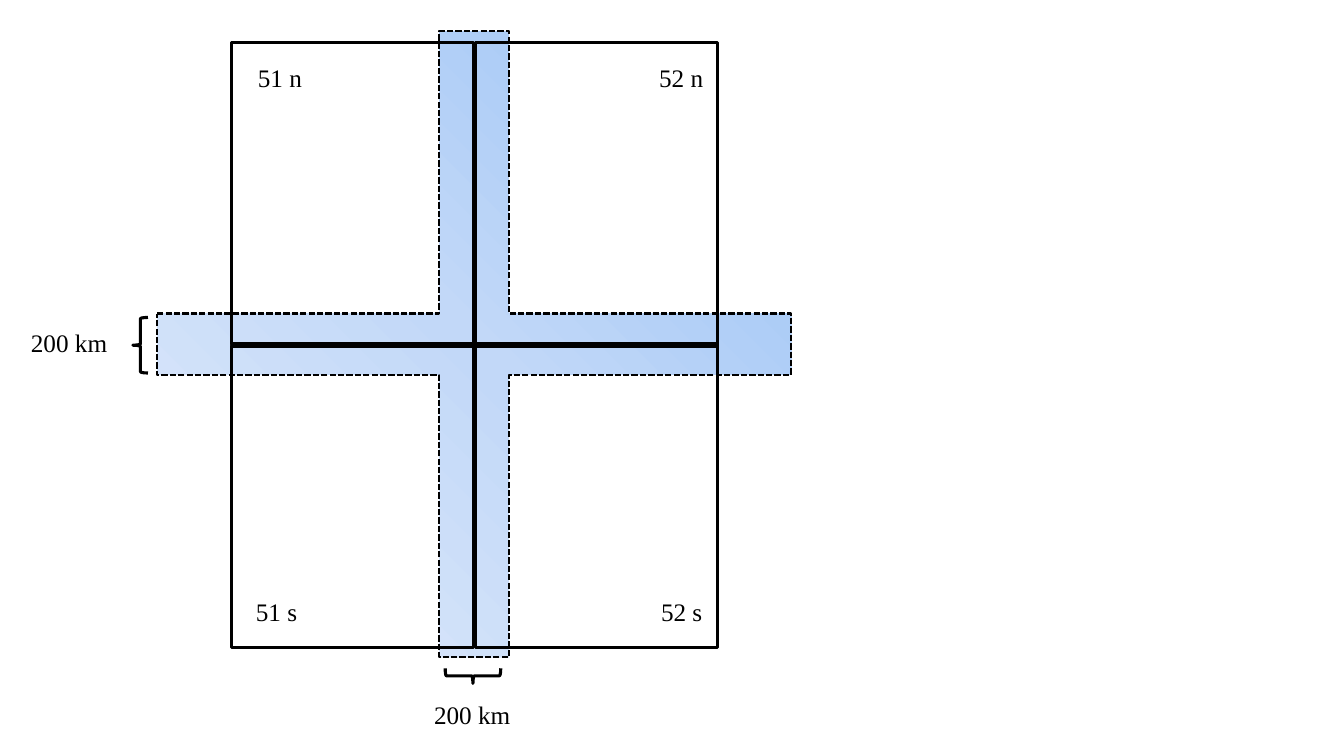
from lxml import etree
from pptx import Presentation
from pptx import util as u
from pptx.dml.color import RGBColor
from pptx.enum import dml, shapes, text
from pptx.oxml import ns

BLACK = RGBColor(0x00, 0x00, 0x00)
BAND_STOPS = [
    (0, RGBColor(0x9A, 0xC3, 0xF5)),
    (50, RGBColor(0xC2, 0xD8, 0xF8)),
    (100, RGBColor(0xE1, 0xEB, 0xFB)),
]
FONT = "Times New Roman"

# Map zones, in cm
ZONE_LEFT, ZONE_TOP = 5.84, 1.07
ZONE_WIDTH, ZONE_HEIGHT = 6.1, 7.6
ZONE_GAP = 0.05


def add_outline(parent, preset, left, top, width, height, weight=2.25):
    """Add an unfilled preset shape with a black line."""
    outline = parent.add_shape(
        preset, u.Cm(left), u.Cm(top), u.Cm(width), u.Cm(height))
    outline.shadow.inherit = False
    outline.fill.background()
    outline.line.color.rgb = BLACK
    outline.line.width = u.Pt(weight)
    return outline


def fill_from_top_right(shape, stops):
    """Fill a shape with a circular gradient centred on its top right corner."""
    gradient = etree.Element(ns.qn("a:gradFill"), rotWithShape="1")
    stop_list = etree.SubElement(gradient, ns.qn("a:gsLst"))
    for percent, color in stops:
        stop = etree.SubElement(
            stop_list, ns.qn("a:gs"), pos=str(percent * 1000))
        etree.SubElement(stop, ns.qn("a:srgbClr"), val=str(color))
    circle = etree.SubElement(gradient, ns.qn("a:path"), path="circle")
    etree.SubElement(circle, ns.qn("a:fillToRect"), l="100000", b="100000")
    properties = shape.element.spPr
    properties.replace(properties.find(ns.qn("a:noFill")), gradient)


def add_label(parent, wording, left, top, width):
    label = parent.add_textbox(
        u.Cm(left), u.Cm(top), u.Cm(width), u.Cm(1.02))
    frame = label.text_frame
    frame.word_wrap = False
    frame.auto_size = text.MSO_AUTO_SIZE.SHAPE_TO_FIT_TEXT
    paragraph = frame.paragraphs[0]
    paragraph.text = wording
    paragraph.font.name = FONT
    paragraph.font.size = u.Pt(18)
    paragraph.font.color.rgb = BLACK


def add_overlap_band(parent):
    band = add_outline(
        parent, shapes.MSO_SHAPE.CROSS, 3.96, 0.79, 15.98, 15.77, weight=1.5)
    band.adjustments[0] = 0.451
    band.line.dash_style = dml.MSO_LINE.SQUARE_DOT
    fill_from_top_right(band, BAND_STOPS)


def add_zones(parent):
    for row in range(2):
        for column in range(2):
            add_outline(
                parent, shapes.MSO_SHAPE.RECTANGLE,
                ZONE_LEFT + column * (ZONE_WIDTH + ZONE_GAP),
                ZONE_TOP + row * (ZONE_HEIGHT + ZONE_GAP),
                ZONE_WIDTH, ZONE_HEIGHT)


def add_width_mark(parent, brace_at, label_at, rotation=0):
    """Add a brace and the width of the overlap that it spans."""
    brace = add_outline(
        parent, shapes.MSO_SHAPE.LEFT_BRACE, *brace_at, 0.38, 1.4)
    brace.rotation = rotation
    add_label(parent, "200 km", *label_at, 2.46)


def main():
    presentation = Presentation()
    presentation.slide_width = u.Cm(33.87)
    presentation.slide_height = u.Cm(19.05)
    slide = presentation.slides.add_slide(presentation.slide_layouts[6])
    diagram = slide.shapes.add_group_shape().shapes

    # Overlap band behind the four zones
    add_overlap_band(diagram)
    add_zones(diagram)

    # Zone names
    for name, left, top, width in [
        ("51 n", 6.25, 1.45, 1.63),
        ("52 n", 16.36, 1.45, 1.63),
        ("52 s", 16.41, 14.91, 1.57),
        ("51 s", 6.2, 14.91, 1.57),
    ]:
        add_label(diagram, name, left, top, width)

    # Overlap widths
    add_width_mark(diagram, (3.35, 8.0), (0.53, 8.13))
    add_width_mark(diagram, (11.73, 16.33), (10.69, 17.5), rotation=270)

    presentation.save("out.pptx")


main()
